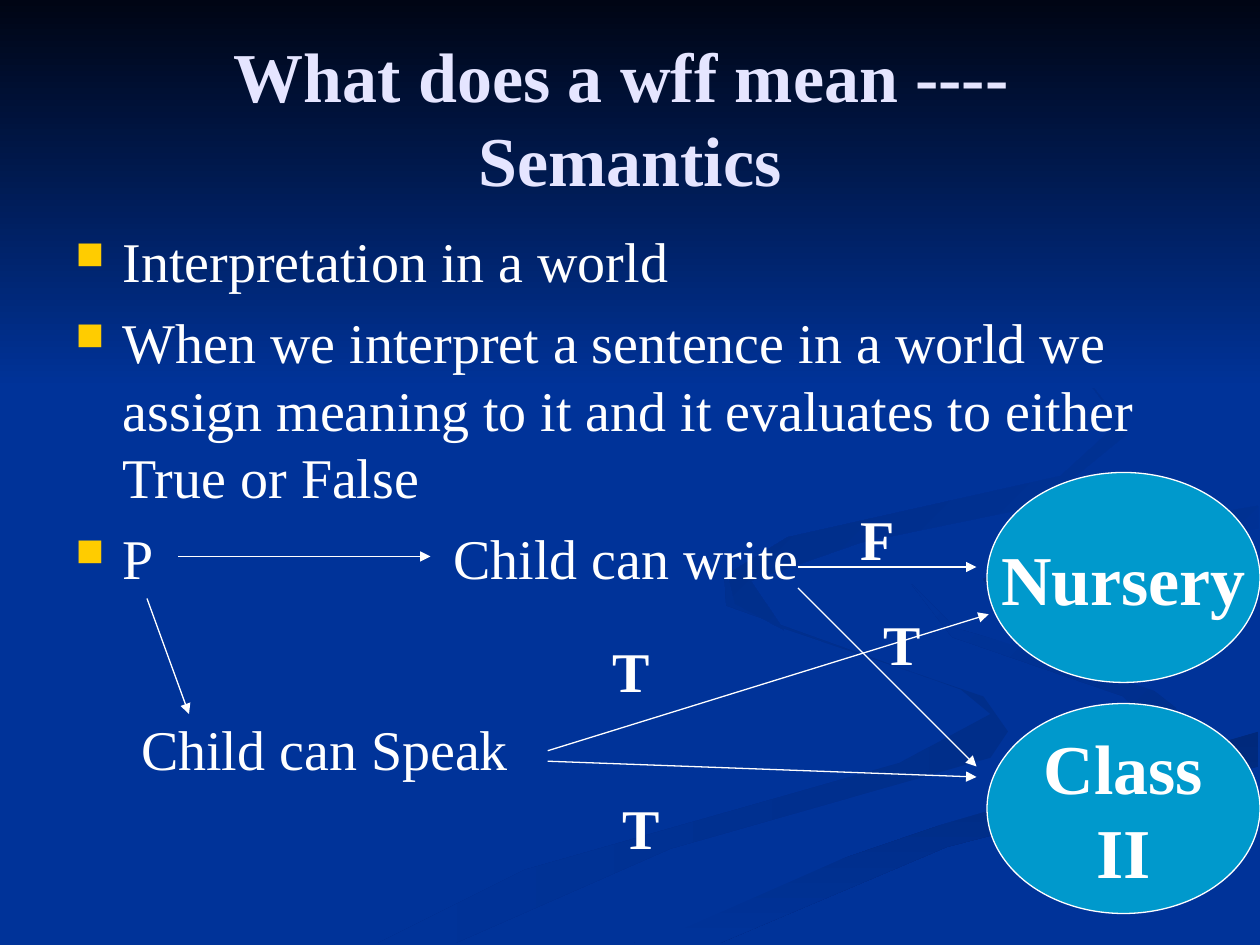
from lxml.etree import SubElement
from pptx import Presentation
from pptx.dml.color import RGBColor
from pptx.enum.shapes import MSO_CONNECTOR, MSO_SHAPE
from pptx.enum.text import MSO_ANCHOR, PP_ALIGN
from pptx.oxml.ns import qn
from pptx.util import Pt

FONT = "Times New Roman"
BLUE = RGBColor(0x00, 0x33, 0x99)
NIGHT = RGBColor(0x00, 0x05, 0x14)
DARK = RGBColor(0x00, 0x2E, 0x8A)
DEEP = RGBColor(0x00, 0x29, 0x7C)
DUSK = RGBColor(0x00, 0x2C, 0x85)
SHADE = RGBColor(0x00, 0x2B, 0x81)
CYAN = RGBColor(0x00, 0x99, 0xCC)
PALE = RGBColor(0xE5, 0xE5, 0xFF)
WHITE = RGBColor(0xFF, 0xFF, 0xFF)
GOLD = "FFCC00"

# Swirl bands: start colour, end colour, clockwise angle, outline
BANDS = [
    (DARK, BLUE, 180, [
        (562, 398), (442, 357), (414, 330), (415, 346), (549, 394), (566, 408),
        (514, 436), (300, 497), (216, 539), (260, 539), (383, 485), (566, 433),
        (576, 418)]),
    (DARK, BLUE, 225, [
        (679, 410), (652, 389), (546, 359), (521, 334), (544, 364), (642, 398),
        (661, 418), (644, 436), (678, 418)]),
    (DEEP, BLUE, 90, [
        (362, 539), (411, 539), (541, 484), (719, 438), (719, 418), (574, 459),
        (431, 508)]),
    (BLUE, BLUE, 90, [
        (522, 334), (558, 362), (670, 398), (677, 420), (535, 463), (343, 539),
        (374, 538), (501, 482), (719, 418), (719, 387), (588, 354), (562, 331),
        (623, 305), (719, 289), (719, 279), (554, 307)]),
    (BLUE, DUSK, 225, [
        (562, 331), (570, 344), (595, 357), (580, 337), (645, 313), (719, 302),
        (719, 289), (601, 309)]),
    (BLUE, SHADE, 225, [
        (492, 310), (594, 289), (644, 248), (607, 198), (549, 168), (609, 201),
        (640, 241), (606, 272), (450, 307), (416, 328), (420, 345), (448, 360),
        (429, 332)]),
]

POINTS = [
    "Interpretation in a world",
    "When we interpret a sentence in a world we assign meaning to it "
    "and it evaluates to either True or False",
    "P \t\t\tChild can write",
]

# Text, left, top, width, bold
LABELS = [
    ("F", 484.5, 285, 34, True),
    ("T", 497.5, 345, 35, True),
    ("Child can Speak", 73.5, 404.5, 256, False),
    ("T", 343, 360, 35, True),
    ("T", 348.5, 450, 35, True),
]

# From x, y to x, y
ARROWS = [
    (102, 318, 246, 318),
    (456, 324, 558, 324),
    (456, 336, 558, 438),
    (84, 342, 108, 408),
    (313, 429, 565, 351),
    (313, 435, 558, 444),
]


def blend(shape, start, end, angle):
    shape.shadow.inherit = False
    shape.line.fill.background()
    if start == end:
        shape.fill.solid()
        shape.fill.fore_color.rgb = start
        return
    shape.fill.gradient()
    shape.fill.gradient_angle = 360 - angle
    for stop, color in zip(shape.fill.gradient_stops, (start, end)):
        stop.color.rgb = color


def band(slide, start, end, angle, dots):
    pen = slide.shapes.build_freeform(*dots[0], scale=Pt(1))
    pen.add_line_segments(dots[1:], close=True)
    blend(pen.convert_to_shape(), start, end, angle)


def sky(slide):
    shape = slide.shapes.add_shape(
        MSO_SHAPE.RECTANGLE, 0, 0, Pt(720), Pt(222))
    blend(shape, NIGHT, BLUE, 90)


def write(para, text, size, color=WHITE, bold=False):
    run = para.add_run()
    run.text = text
    font = run.font
    font.name, font.size, font.bold = FONT, Pt(size), bold
    font.color.rgb = color


def box(slide, left, top, width, height, wrap=True):
    shape = slide.shapes.add_textbox(Pt(left), Pt(top), Pt(width), Pt(height))
    shape.text_frame.word_wrap = wrap
    return shape.text_frame


def title(slide):
    frame = box(slide, 36, 21.6, 648, 90)
    frame.vertical_anchor = MSO_ANCHOR.MIDDLE
    para = frame.paragraphs[0]
    para.alignment = PP_ALIGN.CENTER
    write(para, "What does a wff mean ---- ", 40, PALE, True)
    para.add_line_break()
    write(para, "Semantics", 40, PALE, True)


def bullet(para):
    props = para._p.get_or_add_pPr()
    props.set("marL", str(Pt(27)))
    props.set("indent", str(Pt(-27)))
    tint = SubElement(props, qn("a:buClr"))
    SubElement(tint, qn("a:srgbClr"), val=GOLD)
    SubElement(props, qn("a:buSzPct"), val="70000")
    SubElement(props, qn("a:buChar"), char="■")
    tabs = SubElement(props, qn("a:tabLst"))
    for inch in range(1, 9):
        SubElement(tabs, qn("a:tab"), pos=str(Pt(72 * inch)), algn="l")


def body(slide):
    frame = box(slide, 36, 126, 648, 356.4)
    for i, text in enumerate(POINTS):
        para = frame.add_paragraph() if i else frame.paragraphs[0]
        bullet(para)
        if i:
            para.space_before = Pt(8)
        write(para, text, 32)


def oval(slide, top, lines):
    shape = slide.shapes.add_shape(
        MSO_SHAPE.FLOWCHART_CONNECTOR, Pt(564), Pt(top), Pt(156), Pt(120))
    shape.shadow.inherit = False
    shape.fill.solid()
    shape.fill.fore_color.rgb = CYAN
    shape.line.color.rgb = WHITE
    shape.line.width = Pt(0.75)
    frame = shape.text_frame
    frame.word_wrap = False
    frame.vertical_anchor = MSO_ANCHOR.MIDDLE
    for i, text in enumerate(lines):
        para = frame.add_paragraph() if i else frame.paragraphs[0]
        para.alignment = PP_ALIGN.CENTER
        write(para, text, 40, bold=True)


def arrow(slide, *ends):
    line = slide.shapes.add_connector(
        MSO_CONNECTOR.STRAIGHT, *(Pt(end) for end in ends))
    line.line.color.rgb = WHITE
    line.line.width = Pt(0.75)
    props = line._element.spPr
    SubElement(props.find(qn("a:ln")), qn("a:tailEnd"), type="triangle")
    SubElement(props, qn("a:effectLst"))


def main():
    deck = Presentation()
    deck.slide_width, deck.slide_height = Pt(720), Pt(540)
    slide = deck.slides.add_slide(deck.slide_layouts[6])

    # Backdrop
    slide.background.fill.solid()
    slide.background.fill.fore_color.rgb = BLUE
    for item in BANDS:
        band(slide, *item)
    sky(slide)

    # Title and points
    title(slide)
    body(slide)

    # Worlds and the arrows to them
    oval(slide, 270, ["Nursery"])
    oval(slide, 402, ["Class", "II"])
    for ends in ARROWS:
        arrow(slide, *ends)

    # Truth values and the second meaning
    for text, left, top, width, bold in LABELS:
        frame = box(slide, left, top, width, 46, wrap=False)
        write(frame.paragraphs[0], text, 32, bold=bold)

    deck.save("out.pptx")


if __name__ == "__main__":
    main()
